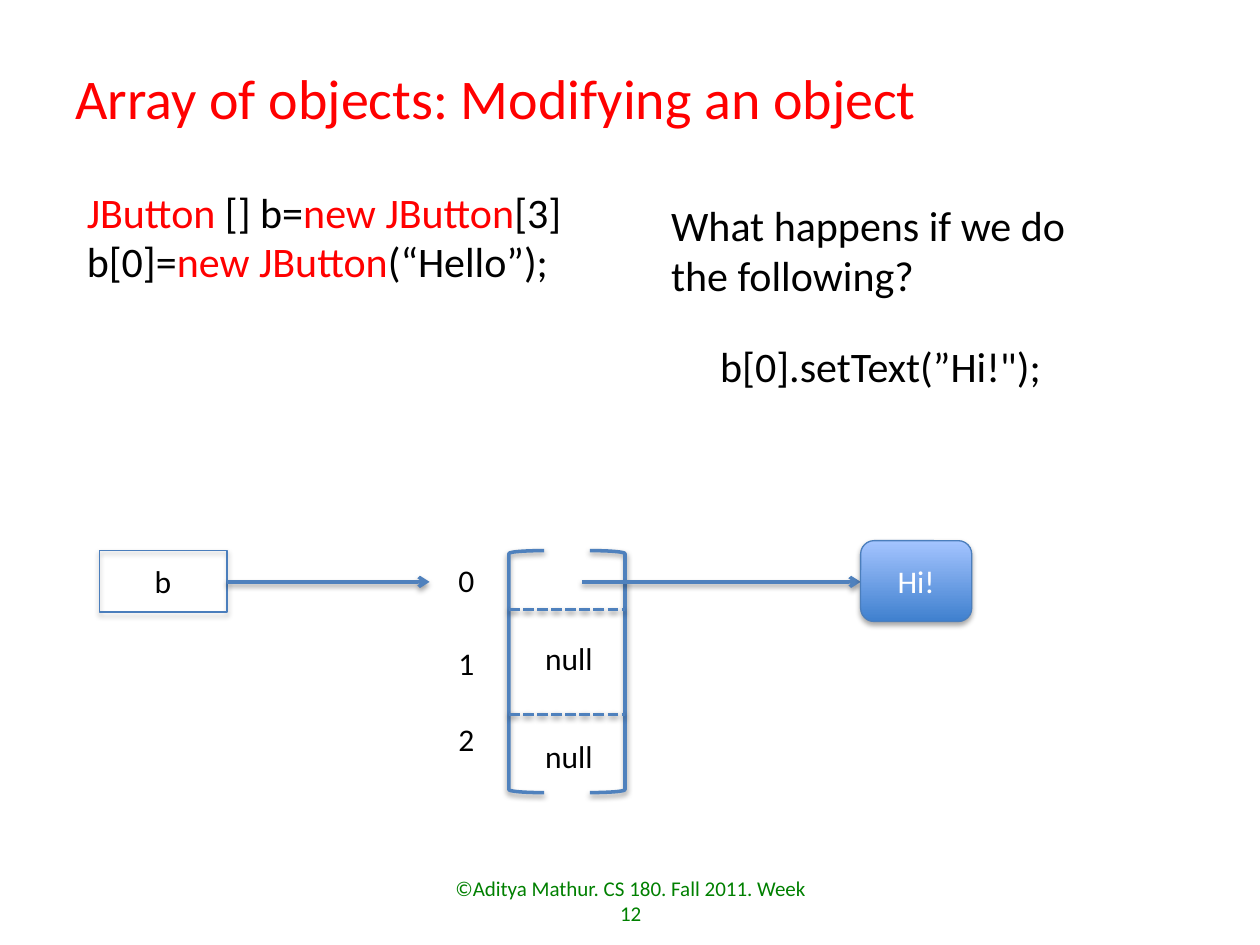
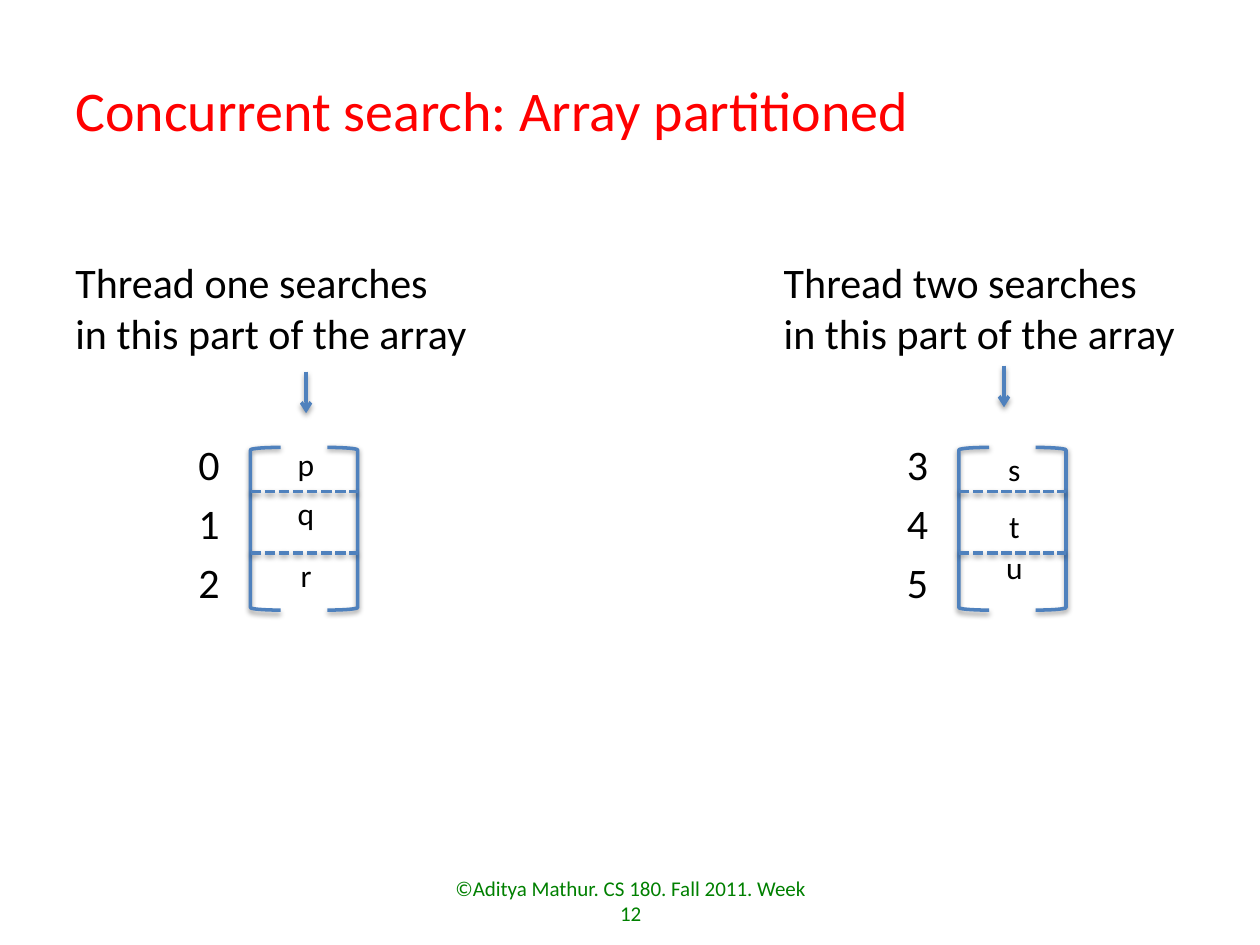
from dataclasses import dataclass

import lxml.etree
import pptx
import pptx.dml.color
import pptx.enum.dml
import pptx.enum.shapes
import pptx.enum.text
import pptx.oxml.ns
import pptx.util
from pptx.util import Cm, Pt

FONT = "Calibri"
COLORS = {
    "accent": "FF0000",
    "text": "000000",
    "footer": "008000",
    "line": "4F81BD",
    "outline": "4B7EBC",
    "button_dark": "3F80CE",
    "button_light": "A4C4FF",
    "button_text": "FFFFFF",
}
SHAPES = pptx.enum.shapes.MSO_SHAPE
ALIGN = pptx.enum.text.PP_ALIGN
ANCHOR = pptx.enum.text.MSO_ANCHOR
qn = pptx.oxml.ns.qn


@dataclass
class Box:
    """A rectangle in centimetres."""
    left: float
    top: float
    width: float
    height: float

    def lengths(self):
        return Cm(self.left), Cm(self.top), Cm(self.width), Cm(self.height)

    def inner(self, left, top, width, height):
        """Return a box placed relative to this one."""
        return Box(self.left + left, self.top + top, width, height)


@dataclass
class ArrayStyle:
    """Offsets inside a bracketed array, in centimetres."""
    bracket_width: float
    dividers: tuple
    index_tops: tuple
    index_box: tuple  # left, width, height
    index_size: int
    value_width: float


LARGE_ARRAY = ArrayStyle(0.71, (1.19, 3.3), (0.08, 1.75, 3.3),
                         (-1.27, 0.84, 1.02), 18, 1.47)
SMALL_ARRAY = ArrayStyle(0.61, (0.89, 2.13), (-0.3, 0.89, 2.08),
                         (-1.3, 0.94, 1.27), 24, 0.84)


def color(name):
    return pptx.dml.color.RGBColor.from_string(COLORS[name])


def fill_text(frame, lines, size, tint="text", align=ALIGN.LEFT,
              anchor=ANCHOR.TOP, spacing=None, hanging=None):
    """Write lines; each is a string or a list of (text, colour name) spans."""
    frame.vertical_anchor = anchor
    for number, line in enumerate(lines):
        para = frame.paragraphs[0] if number == 0 else frame.add_paragraph()
        para.alignment = align
        if spacing:
            para.line_spacing = Pt(spacing)
        if hanging:
            properties = para._p.get_or_add_pPr()
            properties.set("marL", str(Cm(2 * hanging)))
            properties.set("indent", str(-Cm(hanging)))
        para.font.name = FONT
        para.font.size = Pt(size)
        para.font.color.rgb = color(tint)
        spans = [(line, tint)] if isinstance(line, str) else line
        for text, span_tint in spans:
            span = para.add_run()
            span.text = text
            if span_tint != tint:
                span.font.color.rgb = color(span_tint)


def add_text(page, box, lines, size, wrap=True, **style):
    frame = page.shapes.add_textbox(*box.lengths()).text_frame
    frame.word_wrap = wrap
    fill_text(frame, lines, size, **style)


def add_shadow(shape, distance, opacity):
    """Give a shape whose line is set a soft shadow straight below it."""
    effects = lxml.etree.SubElement(shape._element.spPr, qn("a:effectLst"))
    shadow = lxml.etree.SubElement(
        effects, qn("a:outerShdw"), blurRad=str(Pt(3.1)),
        dist=str(Pt(distance)), dir="5400000", rotWithShape="0")
    black = lxml.etree.SubElement(shadow, qn("a:srgbClr"), val=COLORS["text"])
    lxml.etree.SubElement(black, qn("a:alpha"), val=str(opacity * 1000))


def set_line(shape, tint, width):
    shape.line.color.rgb = color(tint)
    shape.line.width = Pt(width)


def add_line(page, start, end, dashed=False, arrow=False):
    line = page.shapes.add_connector(
        pptx.enum.shapes.MSO_CONNECTOR.STRAIGHT,
        *(Cm(value) for value in start + end))
    set_line(line, "line", 2)
    if dashed:
        line.line.dash_style = pptx.enum.dml.MSO_LINE.SQUARE_DOT
    if arrow:
        lxml.etree.SubElement(line.line._get_or_add_ln(), qn("a:tailEnd"),
                              type="arrow")
    add_shadow(line, 1.6, 38)


def add_outlined(page, kind, box):
    """Add an unfilled box with a thin outline and a shadow."""
    shape = page.shapes.add_shape(kind, *box.lengths())
    shape.fill.background()
    set_line(shape, "outline", 0.75)
    add_shadow(shape, 1.8, 35)
    return shape


def add_array(page, box, style, indexes, values):
    """Draw a bracketed array; values are (text, top offset) pairs."""
    width = style.bracket_width
    for kind, left in ((SHAPES.LEFT_BRACKET, 0),
                       (SHAPES.RIGHT_BRACKET, box.width - width)):
        place = box.inner(left, 0, width, box.height)
        bracket = page.shapes.add_shape(kind, *place.lengths())
        bracket.fill.background()
        set_line(bracket, "line", 2)
        add_shadow(bracket, 1.6, 38)
    for offset in style.dividers:
        height = box.top + offset
        add_line(page, (box.left, height), (box.left + box.width, height),
                 dashed=True)
    left, index_width, index_height = style.index_box
    for index, top in zip(indexes, style.index_tops):
        add_text(page, box.inner(left, top, index_width, index_height),
                 [index], style.index_size, wrap=False)
    left = (box.width - style.value_width) / 2 + 0.04
    for value, top in values:
        add_text(page, box.inner(left, top, style.value_width, 1.02),
                 [value], 18, wrap=False, align=ALIGN.CENTER)


def add_button(page, box, caption):
    button = add_outlined(page, SHAPES.ROUNDED_RECTANGLE, box)
    button.fill.gradient()
    button.fill.gradient_angle = 90
    for stop, tint in zip(button.fill.gradient_stops,
                          ("button_dark", "button_light")):
        stop.color.rgb = color(tint)
    fill_text(button.text_frame, [caption], 18, "button_text",
              ALIGN.CENTER, ANCHOR.MIDDLE)


def add_page(deck, title, title_top):
    """Add a blank page with the shared title and footer."""
    page = deck.slides.add_slide(deck.slide_layouts[6])
    add_text(page, Box(1.27, title_top, 20.12, 1.7), [title], 32,
             tint="accent", spacing=38)
    add_text(page, Box(8.69, 17.65, 8.05, 1.02),
             ["©Aditya Mathur. CS 180. Fall 2011. Week 12"], 12,
             tint="footer", align=ALIGN.CENTER, anchor=ANCHOR.MIDDLE)
    return page


def add_reference_diagram(page, box):
    """Draw variable b pointing to the array, whose first cell holds a button."""
    arrow_height = box.top + 0.63
    add_array(page, box.inner(8.25, 0, 2.34, 4.88), LARGE_ARRAY, "012",
              [("null", 1.65), ("null", 3.63)])
    add_outlined(page, SHAPES.RECTANGLE, box.inner(0, 0, 2.57, 1.24))
    add_text(page, box.inner(0.86, 0.1, 0.84, 1.02), ["b"], 18, wrap=False)
    for start, end in ((2.56, 6.65), (9.72, 15.34)):
        add_line(page, (box.left + start, arrow_height),
                 (box.left + end, arrow_height), arrow=True)
    add_button(page, box.inner(15.34, -0.2, 2.24, 1.63), "Hi!")


def add_thread(page, box, sentence, indexes, values, arrow_offset):
    """Place a sentence, an arrow below it and the part it searches."""
    add_text(page, box.inner(0, 0, box.width, 2.31), [sentence], 24)
    left, top = box.left + arrow_offset[0], box.top + arrow_offset[1]
    add_line(page, (left, top), (left, top + 0.84), arrow=True)
    add_array(page, box.inner(3.78, 3.97, 2.16, 3.28), SMALL_ARRAY,
              indexes, values)


def build_modifying_page(deck):
    page = add_page(deck, "Array of objects: Modifying an object", 1.17)
    code = [
        [("JButton", "accent"), (" [] b=", "text"),
         ("new JButton", "accent"), ("[3]", "text")],
        [("b[0]=", "text"), ("new JButton", "accent"),
         ("(“Hello”);", "text")],
    ]
    add_text(page, Box(0.23, 3.66, 21.13, 2.26), code, 24,
             spacing=28, hanging=1.27)
    add_text(page, Box(14.27, 6.73, 9.86, 1.27), ["b[0].setText(”Hi!\");"], 24)
    add_text(page, Box(13.28, 3.89, 8.53, 2.31),
             ["What happens if we do", "the following?"], 24, wrap=False)
    add_reference_diagram(page, Box(2.01, 11.1, 17.58, 4.88))


def build_search_page(deck):
    page = add_page(deck, "Concurrent search: Array partitioned", 1.42)
    threads = [
        ("one", "012", [("p", -0.18), ("q", 0.81), ("r", 2.06)], (4.9, 2.44)),
        ("two", "345", [("s", -0.08), ("t", 1.07), ("u", 1.9)], (4.69, 2.32)),
    ]
    for number, (name, indexes, values, arrow_offset) in enumerate(threads):
        add_thread(page, Box(1.27 + 14.28 * number, 5.05, 8.43, 7.25),
                   f"Thread {name} searches in this part of the array",
                   indexes, values, arrow_offset)


def main():
    deck = pptx.Presentation()
    deck.slide_width, deck.slide_height = Cm(25.4), Cm(19.05)
    build_modifying_page(deck)
    build_search_page(deck)
    deck.save("out.pptx")


if __name__ == "__main__":
    main()
